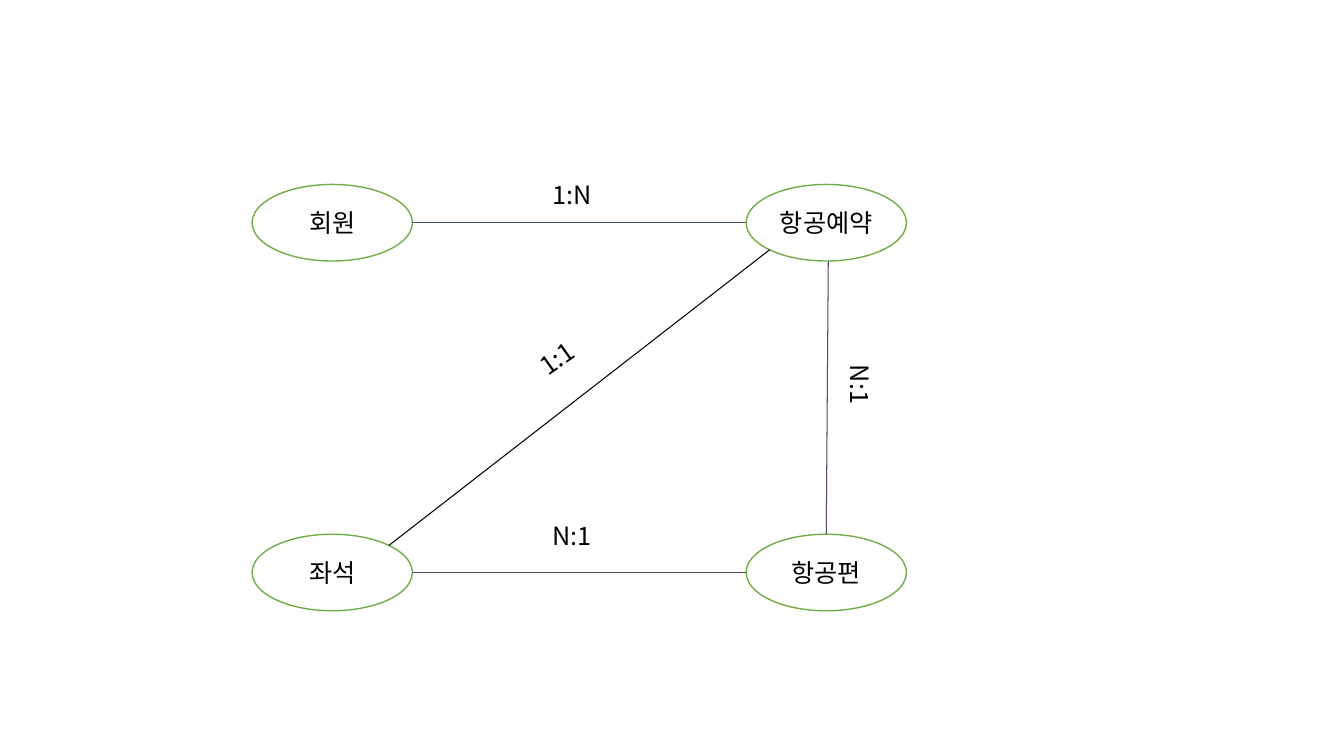
from dataclasses import dataclass
from math import cos, pi, sin

from lxml.etree import SubElement
from pptx import Presentation
from pptx.dml.color import RGBColor
from pptx.enum.shapes import MSO_CONNECTOR, MSO_SHAPE
from pptx.enum.text import MSO_ANCHOR, PP_ALIGN
from pptx.oxml.ns import qn
from pptx.util import Inches, Pt


@dataclass(frozen=True)
class Theme:
    font: str = "Noto Sans CJK KR"
    size: float = 18
    text: str = "000000"
    paper: str = "FFFFFF"
    node_line: str = "70AD47"
    link: str = "44546A"
    diagonal: str = "000000"
    node_width: float = 1
    link_width: float = 0.75


THEME = Theme()
NODE_W, NODE_H = 1.59, 0.76
LABEL_W, LABEL_H = 0.95, 0.4

# Entity name: (column, row)
ENTITIES = {"회원": (0, 0), "항공예약": (1, 0), "항공편": (1, 1), "좌석": (0, 1)}

# From, angle, to, angle, start nudge, colour, label, label offset from middle, rotation
# Angles run clockwise from the right-hand end of the ellipse
RELATIONS = [
    ("회원", 0, "항공예약", 180, 0, THEME.link, "1:N", (-0.07, -0.28), 0),
    ("좌석", 0, "항공편", 180, 0, THEME.link, "N:1", (-0.07, -0.37), 0),
    ("항공예약", 90, "항공편", 270, 0.02, THEME.link, "N:1", (0.34, -0.13), 90),
    ("좌석", 315, "항공예약", 135, 0, THEME.diagonal, "1:1", (-0.22, -0.39), 324.5),
]


def rgb(value):
    return RGBColor.from_string(value)


def write(shape, text):
    tf = shape.text_frame
    tf.text = text
    tf.word_wrap = True
    p = tf.paragraphs[0]
    p.alignment = PP_ALIGN.CENTER
    r = p.runs[0]
    r.font.size = Pt(THEME.size)
    r.font.name = THEME.font
    r.font.color.rgb = rgb(THEME.text)
    # East Asian typeface for the Korean names
    SubElement(r.font._element, qn("a:ea"), typeface=THEME.font)


def add_entity(s, name, cx, cy):
    sp = s.shapes.add_shape(MSO_SHAPE.OVAL, Inches(cx - NODE_W / 2), Inches(cy - NODE_H / 2),
                            Inches(NODE_W), Inches(NODE_H))
    sp.shadow.inherit = False
    sp.fill.solid()
    sp.fill.fore_color.rgb = rgb(THEME.paper)
    sp.line.color.rgb = rgb(THEME.node_line)
    sp.line.width = Pt(THEME.node_width)
    write(sp, name)
    sp.text_frame.vertical_anchor = MSO_ANCHOR.MIDDLE


def add_label(s, text, cx, cy, rotation):
    tb = s.shapes.add_textbox(Inches(cx - LABEL_W / 2), Inches(cy - LABEL_H / 2),
                              Inches(LABEL_W), Inches(LABEL_H))
    tb.rotation = rotation
    write(tb, text)


def add_link(s, start, end, color):
    points = [Inches(v) for v in (*start, *end)]
    line = s.shapes.add_connector(MSO_CONNECTOR.STRAIGHT, *points)
    line.line.color.rgb = rgb(color)
    line.line.width = Pt(THEME.link_width)
    SubElement(line._element.spPr, qn("a:effectLst"))


def rim_point(center, degrees):
    angle = degrees * pi / 180
    return center[0] + NODE_W / 2 * cos(angle), center[1] + NODE_H / 2 * sin(angle)


def add_relation_diagram(s, left, top, width, height):
    # Entities in the corners of the box
    centers = {
        name: (left + NODE_W / 2 + col * (width - NODE_W),
               top + NODE_H / 2 + row * (height - NODE_H))
        for name, (col, row) in ENTITIES.items()
    }
    for name, center in centers.items():
        add_entity(s, name, *center)

    # Relations with their cardinality labels
    for a, a_angle, b, b_angle, nudge, color, text, (dx, dy), rotation in RELATIONS:
        x1, y1 = rim_point(centers[a], a_angle)
        x2, y2 = rim_point(centers[b], b_angle)
        add_link(s, (x1 + nudge, y1), (x2, y2), color)
        add_label(s, text, (x1 + x2) / 2 + dx, (y1 + y2) / 2 + dy, rotation)


def main():
    prs = Presentation()
    prs.slide_width, prs.slide_height = Inches(13.33), Inches(7.5)
    s = prs.slides.add_slide(prs.slide_layouts[6])
    add_relation_diagram(s, 2.5, 1.83, 6.49, 4.23)
    prs.save("out.pptx")


if __name__ == "__main__":
    main()
